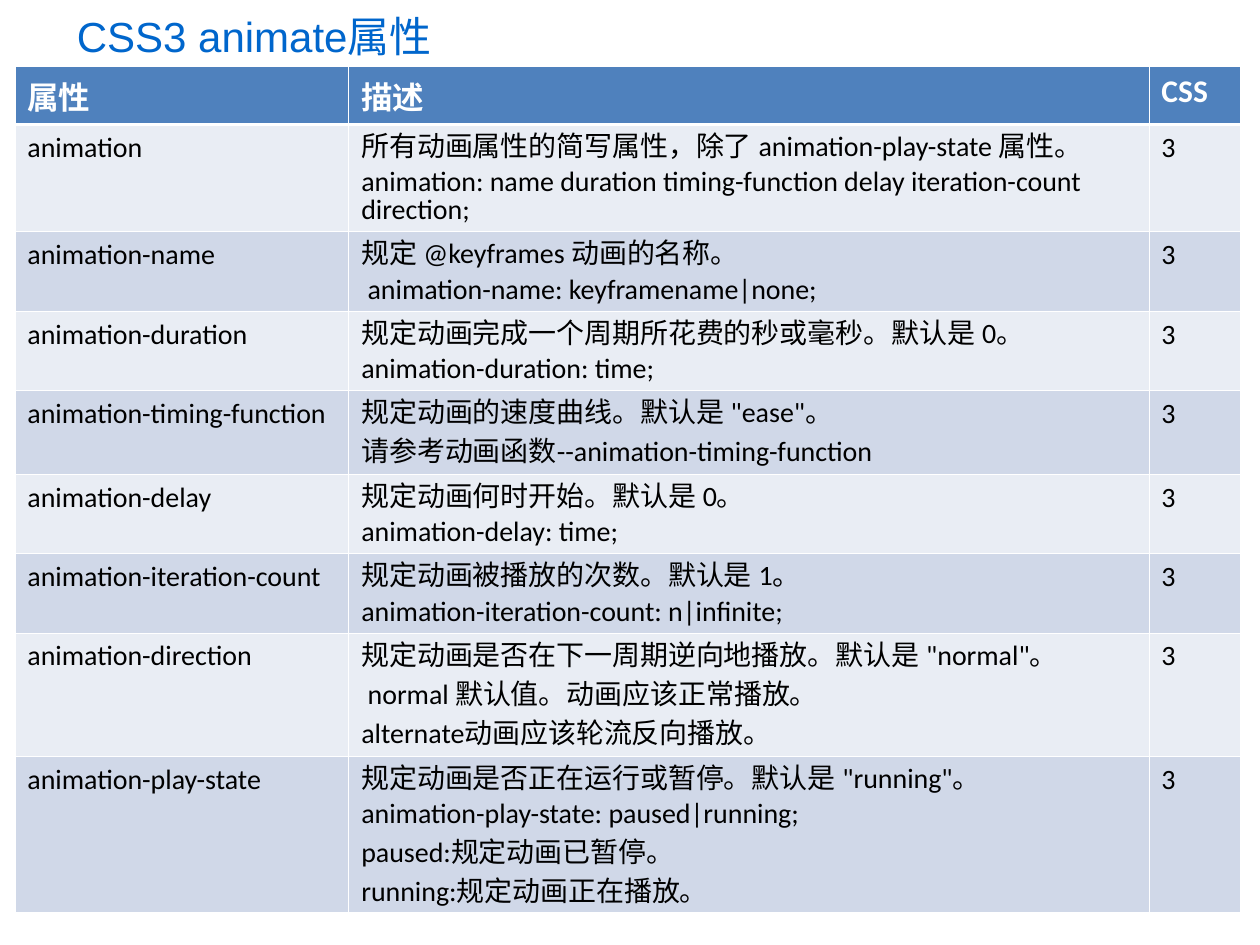
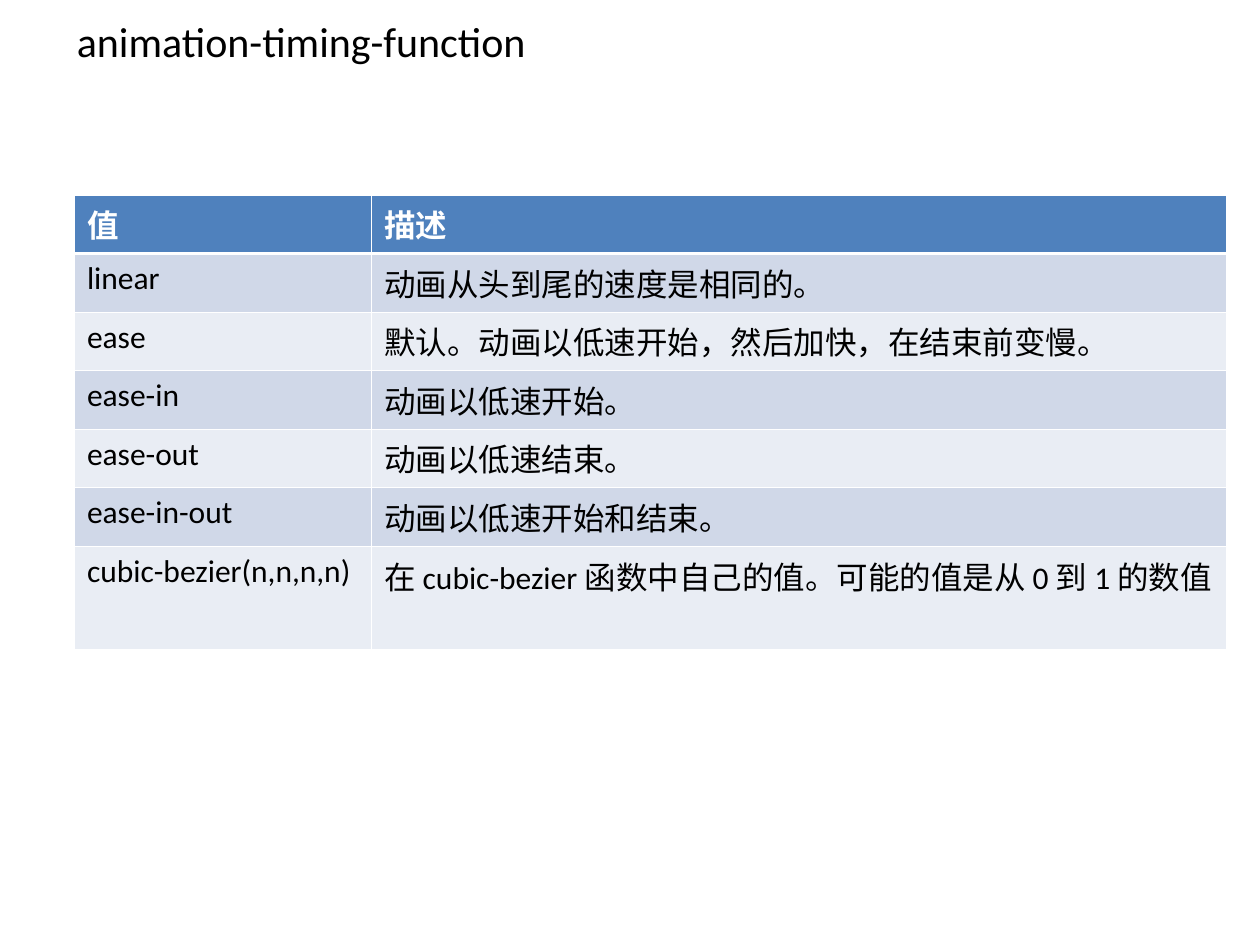
from dataclasses import dataclass

from lxml import etree
from pptx import Presentation
from pptx.dml.color import RGBColor
from pptx.enum.lang import MSO_LANGUAGE_ID
from pptx.enum.text import MSO_ANCHOR
from pptx.oxml.ns import qn
from pptx.util import Cm, Pt

MIDDLE = MSO_ANCHOR.MIDDLE
CHINESE = MSO_LANGUAGE_ID.SIMPLIFIED_CHINESE

# Content: each row is (height in cm, cells); a cell is a list of paragraphs
PROPERTIES = [
    (1.17, [["属性"], ["描述"], ["CSS"]]),
    (2.16, [["animation"], [
        "所有动画属性的简写属性，除了 animation-play-state 属性。",
        "animation: name duration timing-function delay iteration-count direction;"], ["3"]]),
    (1.6, [["animation-name"], [
        "规定 @keyframes 动画的名称。",
        " animation-name: keyframename|none;"], ["3"]]),
    (1.6, [["animation-duration"], [
        "规定动画完成一个周期所花费的秒或毫秒。默认是 0。",
        "animation-duration: time;"], ["3"]]),
    (1.69, [["animation-timing-function"], [
        '规定动画的速度曲线。默认是 "ease"。',
        "请参考动画函数--animation-timing-function"], ["3"]]),
    (1.6, [["animation-delay"], [
        "规定动画何时开始。默认是 0。",
        "animation-delay: time;"], ["3"]]),
    (1.6, [["animation-iteration-count"], [
        "规定动画被播放的次数。默认是 1。",
        "animation-iteration-count: n|infinite;"], ["3"]]),
    (2.49, [["animation-direction"], [
        '规定动画是否在下一周期逆向地播放。默认是 "normal"。',
        " normal 默认值。动画应该正常播放。",
        "alternate动画应该轮流反向播放。"], ["3"]]),
    (3.15, [["animation-play-state"], [
        '规定动画是否正在运行或暂停。默认是 "running"。',
        "animation-play-state: paused|running;",
        "paused:规定动画已暂停。",
        "running:规定动画正在播放。"], ["3"]]),
]

TIMING_VALUES = [
    (1.18, [["值"], ["描述"]]),
    (1.18, [["linear"], ["动画从头到尾的速度是相同的。"]]),
    (1.18, [["ease"], ["默认。动画以低速开始，然后加快，在结束前变慢。"]]),
    (1.18, [["ease-in"], ["动画以低速开始。"]]),
    (1.18, [["ease-out"], ["动画以低速结束。"]]),
    (1.18, [["ease-in-out"], ["动画以低速开始和结束。"]]),
    (2.08, [["cubic-bezier(n,n,n,n)"],
            ["在 cubic-bezier 函数中自己的值。可能的值是从 0 到 1 的数值"]]),
]


@dataclass(frozen=True)
class Theme:
    title_blue: str = "0066CC"
    header: str = "4F81BD"
    light: str = "E9EDF4"
    dark: str = "D0D8E8"
    white: str = "FFFFFF"
    black: str = "000000"
    title_font: str = "Arial"
    body_font: str = "Calibri"
    title_size: float = 24
    header_size: float = 18
    thin: float = 0.45
    thick: float = 1.47


THEME = Theme()

# Lengths in cm, type sizes in points
SLIDES = [
    dict(title="CSS3 animate属性", title_top=0.13, title_font=THEME.title_font,
         title_color=THEME.title_blue, rows=PROPERTIES, origin=(0.3, 1.34),
         columns=(6.73, 16.13, 1.85), body_size=16, bands=(THEME.light, THEME.dark),
         description_spacing=0.8),
    dict(title="animation-timing-function", title_top=0.22, title_font=THEME.body_font,
         title_color=THEME.black, rows=TIMING_VALUES, origin=(1.5, 3.93),
         columns=(5.99, 17.23), body_size=18, bands=(THEME.dark, THEME.light),
         description_spacing=None),
]


def add_run(paragraph, text, font_name, size, color, bold=False):
    run = paragraph.add_run()
    run.text = text
    font = run.font
    font.name, font.size, font.bold = font_name, Pt(size), bold
    font.color.rgb = RGBColor.from_string(color)
    font.language_id = CHINESE


def add_title(slide, content):
    box = slide.shapes.add_textbox(Cm(1.3), Cm(content["title_top"]), Cm(22.8), Cm(1.2))
    frame = box.text_frame
    frame.word_wrap = True
    frame.vertical_anchor = MIDDLE
    add_run(frame.paragraphs[0], content["title"], content["title_font"],
            THEME.title_size, content["title_color"])


def add_borders(cell, row_index):
    """White rules, heavier between the header and the body."""
    top = THEME.thick if row_index == 1 else THEME.thin
    bottom = THEME.thick if row_index == 0 else THEME.thin
    properties = cell._tc.get_or_add_tcPr()
    for side, width in (("L", THEME.thin), ("R", THEME.thin), ("T", top), ("B", bottom)):
        line = etree.SubElement(properties, qn(f"a:ln{side}"), w=str(Pt(width)))
        fill = etree.SubElement(line, qn("a:solidFill"))
        etree.SubElement(fill, qn("a:srgbClr"), val=THEME.white)


def fill_cell(cell, paragraphs, row_index, column_index, content):
    is_header = row_index == 0
    size = THEME.header_size if is_header else content["body_size"]
    band = THEME.header if is_header else content["bands"][(row_index - 1) % 2]
    add_borders(cell, row_index)
    cell.fill.solid()
    cell.fill.fore_color.rgb = RGBColor.from_string(band)
    frame = cell.text_frame
    for index, text in enumerate(paragraphs):
        paragraph = frame.add_paragraph() if index else frame.paragraphs[0]
        paragraph.space_before = Pt(size / 4)
        if column_index == 1 and not is_header:
            paragraph.line_spacing = content["description_spacing"]
        add_run(paragraph, text, THEME.body_font, size,
                THEME.white if is_header else THEME.black, is_header)


def add_reference_table(slide, content):
    rows, columns = content["rows"], content["columns"]
    left, top = content["origin"]
    table = slide.shapes.add_table(
        len(rows), len(columns), Cm(left), Cm(top),
        Cm(sum(columns)), Cm(sum(height for height, _ in rows))).table
    table.horz_banding = False
    for column, width in zip(table.columns, columns):
        column.width = Cm(width)
    for row_index, (height, cells) in enumerate(rows):
        table.rows[row_index].height = Cm(height)
        for column_index, paragraphs in enumerate(cells):
            fill_cell(table.cell(row_index, column_index), paragraphs,
                      row_index, column_index, content)


def main():
    deck = Presentation()
    deck.slide_width, deck.slide_height = Cm(25.4), Cm(19.05)
    blank = deck.slide_layouts[6]
    for content in SLIDES:
        slide = deck.slides.add_slide(blank)
        add_title(slide, content)
        add_reference_table(slide, content)
    deck.save("out.pptx")


if __name__ == "__main__":
    main()
